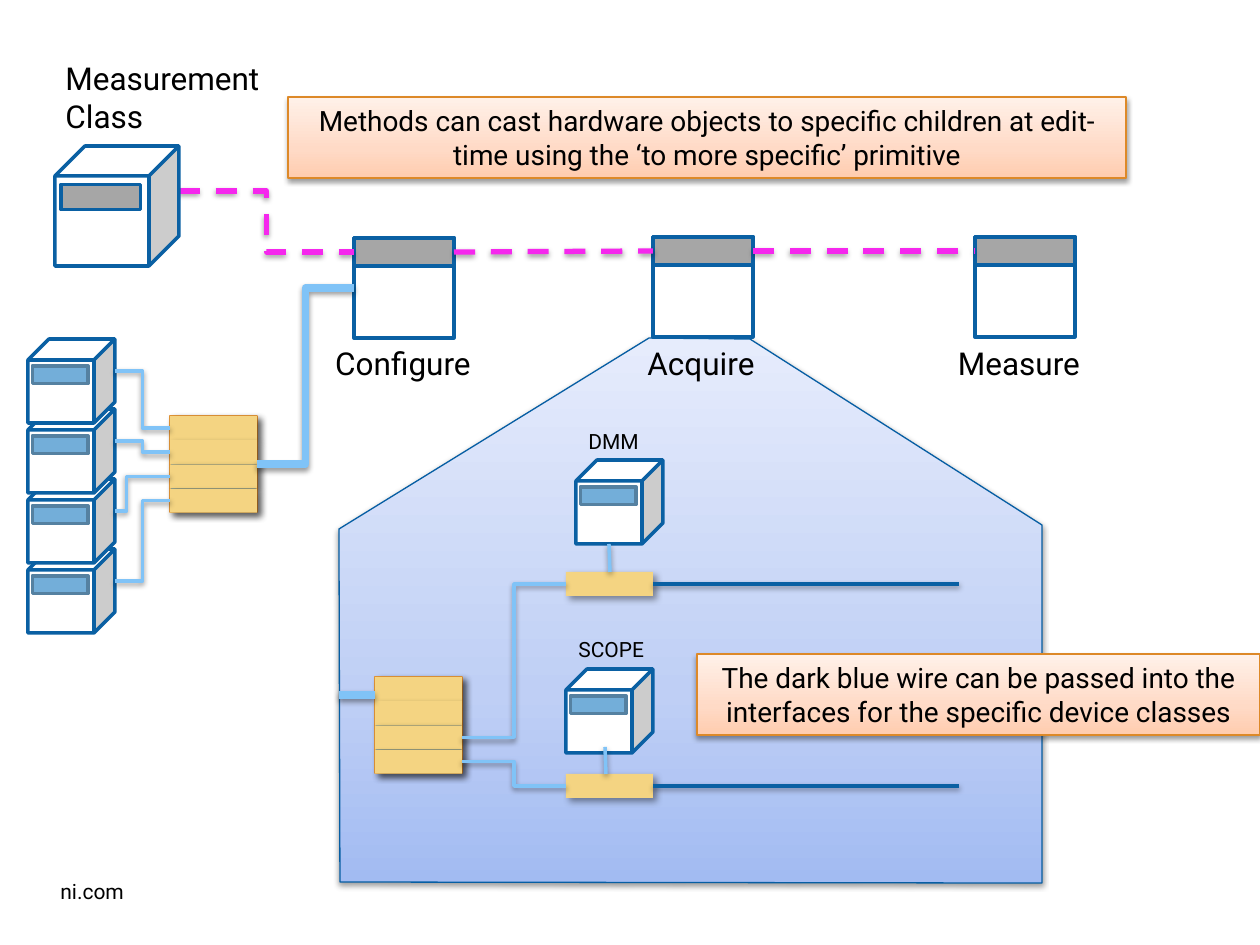
from lxml import etree
from pptx import Presentation
from pptx.dml.color import RGBColor
from pptx.enum.dml import MSO_LINE
from pptx.enum.shapes import MSO_CONNECTOR, MSO_SHAPE
from pptx.enum.text import PP_ALIGN
from pptx.oxml.ns import qn
from pptx.util import Pt

SCALE = 914400 / 126
RECT, CUBE = MSO_SHAPE.RECTANGLE, MSO_SHAPE.CUBE
ELBOW, LINE = MSO_CONNECTOR.ELBOW, MSO_CONNECTOR.STRAIGHT
LEFT, CENTER = PP_ALIGN.LEFT, PP_ALIGN.CENTER
DASH = MSO_LINE.DASH
BLACK = RGBColor(0, 0, 0)
WHITE = RGBColor(255, 255, 255)
GRAY = RGBColor(0xA6, 0xA6, 0xA6)
NAVY = RGBColor(0x0A, 0x60, 0xA3)
EDGE = RGBColor(0x06, 0x5E, 0xA3)
SKY = RGBColor(0x80, 0xC3, 0xF7)
SLOT = RGBColor(0x73, 0xAE, 0xD9)
RIM = RGBColor(0x55, 0x81, 0xA1)
PINK = RGBColor(0xF5, 0x27, 0xED)
GOLD = RGBColor(0xF4, 0xD4, 0x82)
RUST = RGBColor(0xDE, 0x8C, 0x2D)
AMBER = RGBColor(0xDD, 0x89, 0x28)
STOPS = (0, 35, 100)
PEACH = [RGBColor(0xFF, 0xCC, 0xAE), RGBColor(0xFF, 0xDA, 0xC6), RGBColor(0xFF, 0xF1, 0xE9)]
HAZE = [RGBColor(0xA2, 0xBB, 0xF2), RGBColor(0xBF, 0xCF, 0xF5), RGBColor(0xE6, 0xEC, 0xFC)]
SOFT = (38, 3.1, 1.6, 90)
DEEP = (40, 4, 3, 45)


def px(*nums):
    """Turn px lengths into EMU."""
    return [round(n * SCALE) for n in nums]


def child(node, tag, **attrs):
    """Append a drawing element."""
    return etree.SubElement(node, qn(tag), {k: str(v) for k, v in attrs.items()})


def shade(effects, alpha, blur, dist, angle):
    """Put an outer shadow in an effect list."""
    outer = child(effects, "a:outerShdw", blurRad=Pt(blur), dist=Pt(dist),
                  dir=angle * 60000, algn="t", rotWithShape=0)
    child(child(outer, "a:srgbClr", val=BLACK), "a:alpha", val=alpha * 1000)


def paint(shape, fill, line=None, width=2, shadow=None):
    """Set the fill, outline and shadow of a shape."""
    shape.shadow.inherit = False
    if isinstance(fill, list):
        shape.fill.gradient()
        shape.fill.gradient_angle = 90
        stops = next(shape._element.iter(qn("a:gsLst")))
        for old in list(stops):
            stops.remove(old)
        for pos, color in zip(STOPS, fill):
            child(child(stops, "a:gs", pos=pos * 1000), "a:srgbClr", val=color)
    else:
        shape.fill.solid()
        shape.fill.fore_color.rgb = fill
    if line is None:
        shape.line.fill.background()
    else:
        shape.line.color.rgb = line
        shape.line.width = Pt(width)
    if shadow:
        shade(next(shape._element.iter(qn("a:effectLst"))), *shadow)
    return shape


def block(slide, kind, box, fill, **style):
    """Add a painted preset shape."""
    return paint(slide.shapes.add_shape(kind, *px(*box)), fill, **style)


def write(shape, text, size=18, align=LEFT, wrap=True):
    """Put formatted text in a shape."""
    frame = shape.text_frame
    frame.word_wrap = wrap
    frame.text = text
    para = frame.paragraphs[0]
    para.alignment = align
    font = para.font
    font.name, font.size, font.color.rgb = "Roboto", Pt(size), BLACK


def label(slide, box, text, **style):
    """Add a text box."""
    write(slide.shapes.add_textbox(*px(*box)), text, **style)


def wire(slide, start, end, color=SKY, width=2, kind=LINE, dash=None, bend=None):
    """Join two ends, each a point or a shape with its side number."""
    points = [e if isinstance(e[0], int) else (0, 0) for e in (start, end)]
    link = slide.shapes.add_connector(kind, *px(*points[0], *points[1]))
    if points[0] != start:
        link.begin_connect(*start)
    if points[1] != end:
        link.end_connect(*end)
    link.line.color.rgb = color
    link.line.width = Pt(width)
    if dash:
        link.line.dash_style = dash
    props = link._element.spPr
    if bend:
        guides = props.find(qn("a:prstGeom")).get_or_add_avLst()
        child(guides, "a:gd", name="adj1", fmla=f"val {bend * 1000}")
    shade(child(props, "a:effectLst"), *SOFT)


def method(slide, x, y, name, shift):
    """Add a method box with its caption; return body and header."""
    body = block(slide, RECT, (x, y, 100, 100), WHITE, line=NAVY)
    head = block(slide, RECT, (x, y, 100, 28), GRAY, line=NAVY)
    label(slide, (x - 32 + shift, 338, 164, 50), name, align=CENTER, wrap=False)
    return body, head


def device(slide, x, y, w=87, h=84, fill=SLOT, rim=RIM):
    """Add a class cube with a slot on its front."""
    block(slide, CUBE, (x, y, w, h), WHITE, line=NAVY)
    block(slide, RECT, (x + 0.05 * w, y + 0.32 * h, 0.64 * w, 0.21 * h), fill, line=rim)


def strip(slide, x, y):
    """Add one gold strip."""
    return block(slide, RECT, (x, y, 87, 24), GOLD, shadow=DEEP)


def stack(slide, x, y):
    """Add four strips on a base; return base and strips."""
    base = block(slide, RECT, (x, y, 87, 96), NAVY, line=RUST, width=0.75, shadow=DEEP)
    return base, [strip(slide, x, y + 24.2 * i) for i in range(4)]


def note(slide, box, text):
    """Add a peach callout."""
    shape = block(slide, RECT, box, PEACH, line=AMBER, width=0.75, shadow=SOFT)
    write(shape, text, size=16, align=CENTER)


def house(slide):
    """Add the backdrop that opens out from the middle method."""
    pen = slide.shapes.build_freeform(1042, 883, scale=SCALE)
    pen.add_line_segments([(1042, 525), (750, 339), (649, 338), (339, 529), (340, 882)])
    paint(pen.convert_to_shape(), HAZE, line=EDGE, width=0.75, shadow=SOFT)


def flow(slide):
    """Add the measurement class and its methods; return the first body."""
    items = [method(slide, *spec) for spec in (
        (354, 238, "Configure", -1), (653, 237, "Acquire", -2), (975, 237, "Measure", -6))]
    heads = [head for body, head in items]
    for left, right in zip(heads, heads[1:]):
        wire(slide, (left, 3), (right, 1), color=PINK, width=3, dash=DASH)
    wire(slide, (179, 191), (heads[0], 1), color=PINK, width=3, kind=ELBOW, dash=DASH)
    device(slide, 55, 146, 124, 120, GRAY, NAVY)
    label(slide, (53, 53, 234, 90), "Measurement Class")
    return items[0][0]


def bundle(slide, x, y, target):
    """Add the column of devices wired through a stack to the target."""
    base, rows = stack(slide, x + 142, y + 77)
    wire(slide, (base, 3), (target, 1), width=4.5, kind=ELBOW)
    for i in reversed(range(4)):
        device(slide, x, y + 70 * i)
    for i, row in enumerate(rows):
        wire(slide, (x + 87, y + 32 + 70 * i), (row, 1), kind=ELBOW,
             bend=21 if i == 2 else 50)


def detail(slide, x, y):
    """Add the stack that feeds the two named devices."""
    rows = stack(slide, x, y)[1]
    wire(slide, (x - 36, y + 18), (x, y + 18), width=4.5)
    parts = (("DMM", 576, 460, 422, 576, 572, 609, 544),
             ("SCOPE", 566, 669, 630, 566, 774, 605, 747))
    for row, (name, cx, cy, ty, tx, sy, wx, wy) in zip(rows[2:], parts):
        bar = strip(slide, 566, sy)
        device(slide, cx, cy)
        wire(slide, (row, 3), (bar, 1), kind=ELBOW)
        label(slide, (tx, ty, 95, 38), name, size=12, wrap=False)
        wire(slide, (wx + 1, sy), (wx, wy))
        wire(slide, (bar, 3), (959, sy + 12), color=NAVY)


def main():
    """Build and save the slide."""
    deck = Presentation()
    deck.slide_width, deck.slide_height = px(1260, 945)
    slide = deck.slides.add_slide(deck.slide_layouts[6])
    label(slide, (48, 872, 89, 38), "ni.com", size=12, wrap=False)
    house(slide)
    target = flow(slide)
    note(slide, (288, 97, 838, 81), "Methods can cast hardware objects to specific children "
         "at edit-time using the ‘to more specific’ primitive")
    bundle(slide, 28, 339, target)
    detail(slide, 375, 677)
    note(slide, (697, 654, 563, 81), "The dark blue wire can be passed into the interfaces "
         "for the specific device classes")
    deck.save("out.pptx")


if __name__ == "__main__":
    main()
